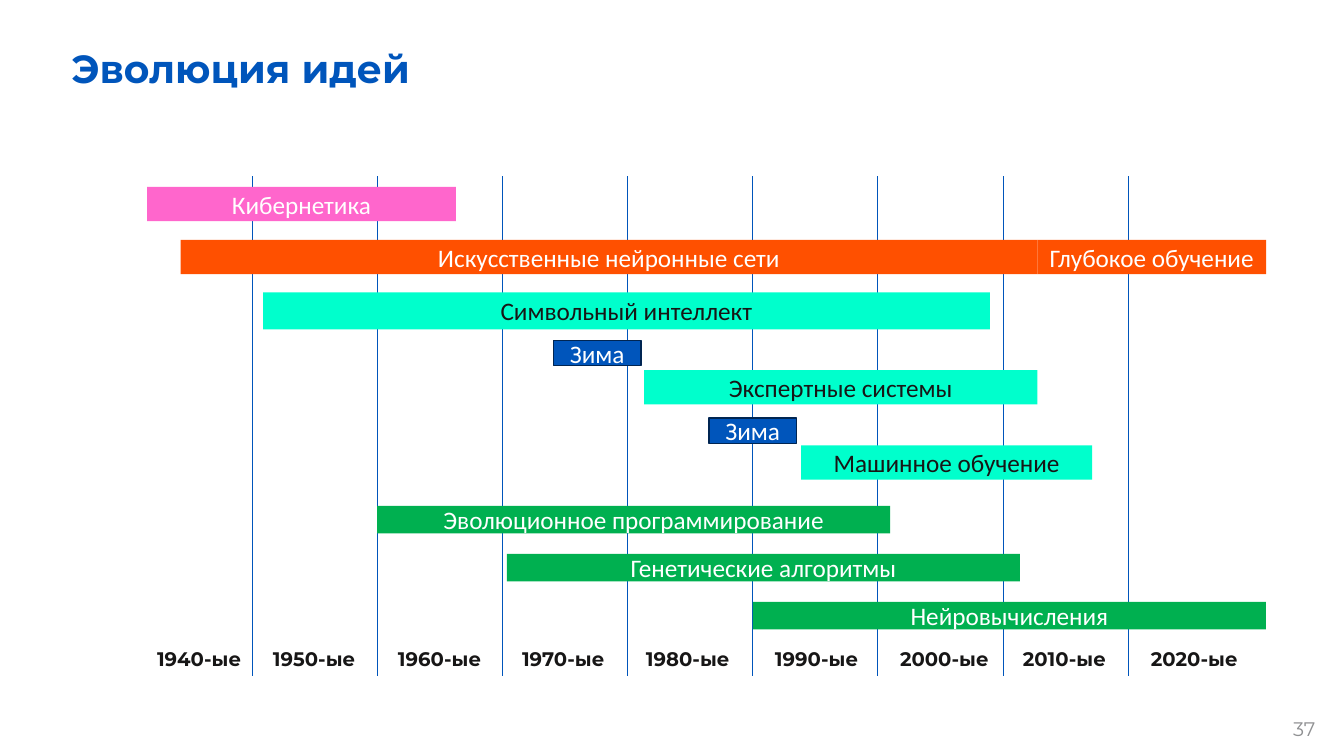
from pptx import Presentation
from pptx.dml.color import RGBColor
from pptx.enum.shapes import MSO_CONNECTOR, MSO_SHAPE
from pptx.enum.text import MSO_ANCHOR, MSO_AUTO_SIZE, PP_ALIGN
from pptx.util import Pt
from lxml.etree import SubElement
from pptx.oxml.ns import qn

BLUE = RGBColor(0x00, 0x55, 0xBB)
NAVY = RGBColor(0x00, 0x25, 0x52)
INK = RGBColor(0x17, 0x16, 0x16)
GREY = RGBColor(0x8F, 0x90, 0x92)
WHITE = RGBColor(0xFF, 0xFF, 0xFF)
PINK = RGBColor(0xFF, 0x66, 0xCC)
ORANGE = RGBColor(0xFF, 0x50, 0x00)
MINT = RGBColor(0x00, 0xFF, 0xCC)
GREEN = RGBColor(0x00, 0xB0, 0x50)

GRID_LEFT, GRID_TOP, GRID_BOTTOM, DECADE_WIDTH = 180, 126, 483, 89.4

DECADES = [
    (105.1, 74.9), (187.9, 73.4), (277.2, 74.2),
    (365.8, 74.2), (454.3, 74.9), (546.5, 74.2),
    (635.8, 78.5), (723.6, 77), (815, 77),
]

BARS = [
    ("Кибернетика", 105.1, 133.6, 220.5, 24.5, PINK, WHITE, None),
    ("Искусственные нейронные сети", 129, 171.4, 612, 24.5, ORANGE, WHITE, None),
    ("Глубокое обучение", 741, 171.4, 163.4, 24.5, ORANGE, WHITE, None),
    ("Символьный интеллект", 187.9, 208.8, 519.1, 26.6, MINT, INK, None),
    ("Экспертные системы", 460.1, 264.4, 280.9, 24.5, MINT, INK, None),
    ("Машинное обучение", 572.2, 318.2, 208, 24.5, MINT, INK, None),
    ("Зима", 395.2, 243.2, 62.8, 18, BLUE, WHITE, NAVY),
    ("Зима", 506.3, 298.6, 62.8, 18, BLUE, WHITE, NAVY),
    ("Эволюционное программирование", 269.4, 361.4, 366.5, 19.6, GREEN, WHITE, None),
    ("Генетические алгоритмы", 362.1, 395.7, 366.5, 19.6, GREEN, WHITE, None),
    ("Нейровычисления", 537.8, 430, 366.5, 19.6, GREEN, WHITE, None),
]


class TimelineSlide:
    heading_font = "Montserrat"
    bar_font = "Calibri"

    def __init__(self, prs):
        self.s = prs.slides.add_slide(prs.slide_layouts[5])

    def run(self, p, text, font, size, color, bold=False):
        r = p.add_run()
        r.text = text
        r.font.name = font
        r.font.size = Pt(size)
        r.font.bold = bold
        r.font.color.rgb = color

    def title(self, text, x, y, w, h):
        sp = self.s.shapes.title
        sp.left, sp.top, sp.width, sp.height = Pt(x), Pt(y), Pt(w), Pt(h)
        tf = sp.text_frame
        tf.auto_size = MSO_AUTO_SIZE.NONE
        tf.vertical_anchor = MSO_ANCHOR.MIDDLE
        p = tf.paragraphs[0]
        p.alignment = PP_ALIGN.LEFT
        self.run(p, text, self.heading_font, 28, BLUE, True)

    def label(self, text, x, y, w, h, color, bold=False):
        tf = self.s.shapes.add_textbox(Pt(x), Pt(y), Pt(w), Pt(h)).text_frame
        tf.word_wrap = False
        self.run(tf.paragraphs[0], text, self.heading_font, 14, color, bold)

    def vertical_line(self, x, top, bottom):
        sp = self.s.shapes.add_connector(
            MSO_CONNECTOR.STRAIGHT, Pt(x), Pt(top), Pt(x), Pt(bottom))
        sp.line.color.rgb = BLUE
        sp.line.width = Pt(0.5)
        SubElement(sp.line._get_or_add_ln().getparent(), qn("a:effectLst"))

    def bar(self, text, x, y, w, h, fill, color, outline):
        sp = self.s.shapes.add_shape(MSO_SHAPE.RECTANGLE, Pt(x), Pt(y), Pt(w), Pt(h))
        sp.shadow.inherit = False
        sp.fill.solid()
        sp.fill.fore_color.rgb = fill
        if outline is None:
            sp.line.fill.background()
        else:
            sp.line.color.rgb = outline
            sp.line.width = Pt(1)
        tf = sp.text_frame
        tf.word_wrap = True
        tf.vertical_anchor = MSO_ANCHOR.MIDDLE
        p = tf.paragraphs[0]
        p.alignment = PP_ALIGN.CENTER
        self.run(p, text, self.bar_font, 18, color)


def main():
    prs = Presentation()
    prs.slide_width, prs.slide_height = Pt(960), Pt(540)
    timeline = TimelineSlide(prs)
    timeline.title("Эволюция идей", 43.9, 28.1, 724.3, 41)
    for i in range(len(DECADES) - 1):
        timeline.vertical_line(GRID_LEFT + i * DECADE_WIDTH, GRID_TOP, GRID_BOTTOM)
    for i, (x, w) in enumerate(DECADES):
        timeline.label(f"{1940 + 10 * i}-ые", x, 458.6, w, 24.5, INK, True)
    for bar in BARS:
        timeline.bar(*bar)
    timeline.label("37", 916.6, 508.3, 32.4, 24.5, GREY)
    prs.save("out.pptx")


if __name__ == "__main__":
    main()
